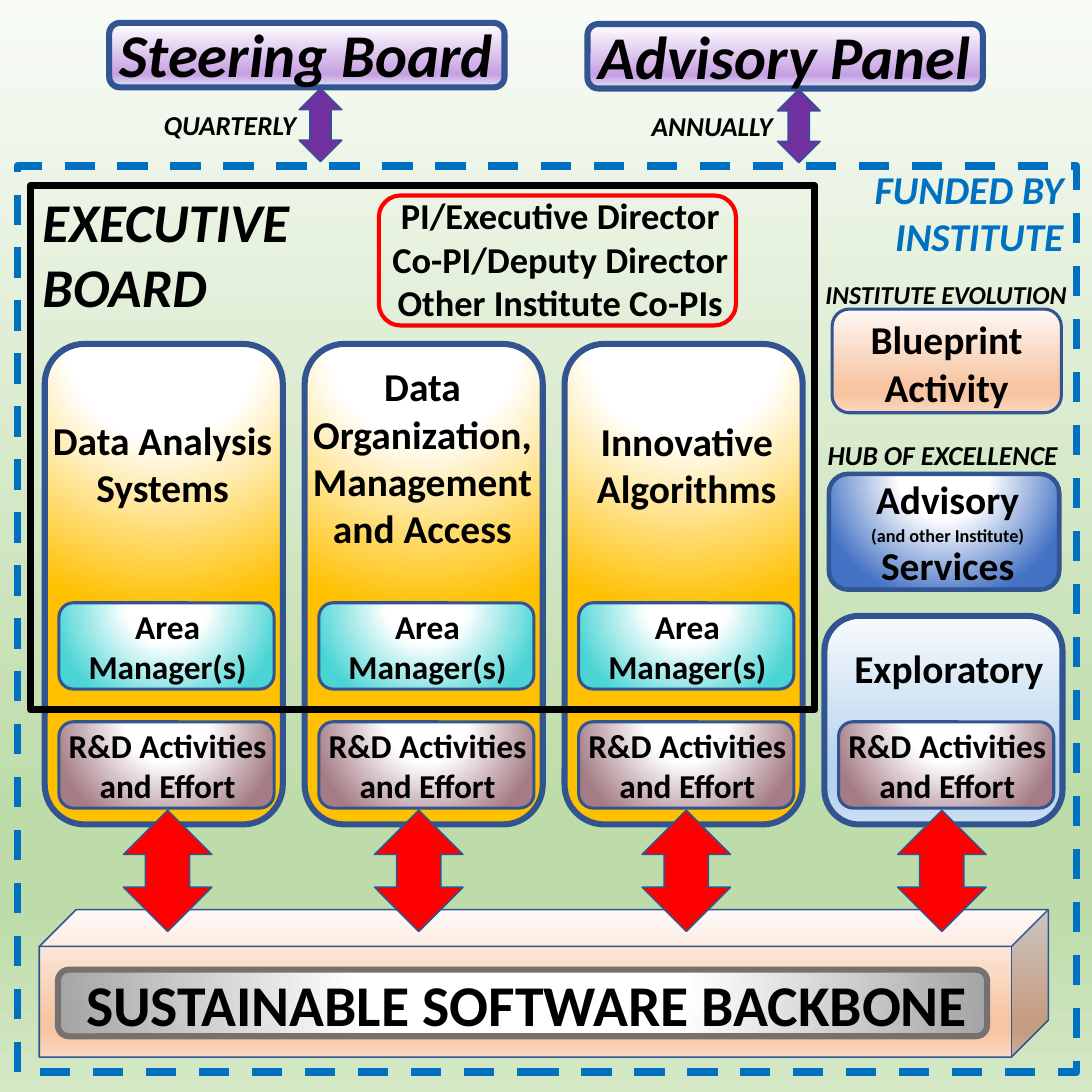
from lxml.etree import SubElement
from pptx import Presentation
from pptx.dml.color import RGBColor
from pptx.enum.dml import MSO_LINE
from pptx.enum.shapes import MSO_SHAPE as SHAPE
from pptx.enum.text import MSO_AUTO_SIZE as AUTO, PP_ALIGN as ALIGN
from pptx.oxml.ns import qn
from pptx.util import Inches, Pt

FONT = "Calibri"
NAVY, BLACK, BLUE, RED, PURPLE = "325491", "000000", "0070C0", "FF0000", "7030A0"
GREEN = [(0, "F8FBF6"), (74, "BEDCAA"), (83, "BEDCAA"), (100, "D4E8C6")]
PEACH = [(0, "FEF8F5"), (74, "F7C5A2"), (83, "F7C5A2"), (100, "FAD8C1")]
SKY = [(0, "F7FAFD"), (74, "B5D2EC"), (83, "B5D2EC"), (100, "CEE1F2")]
LILAC = [(0, "FFFFFF"), (80, "C6A0E2"), (100, "DFE7F5")]


def rgb(value):
    """Turn a hex string into a colour."""
    return RGBColor.from_string(value)


def glow(color):
    """Give the stops of a white glow that ends in a colour."""
    return [(0, "FFFFFF"), (35, "FFFFFF"), (100, color)]


def set_gradient(sp, stops, radial):
    """Fill a shape with a downward or radial gradient."""
    sp.fill.gradient()
    grad = sp._element.spPr.find(qn("a:gradFill"))
    for child in list(grad):
        grad.remove(child)
    gs_list = SubElement(grad, qn("a:gsLst"))
    for pos, color in stops:
        gs = SubElement(gs_list, qn("a:gs"), pos=str(pos * 1000))
        SubElement(gs, qn("a:srgbClr"), val=color)
    if radial:
        circle = SubElement(grad, qn("a:path"), path="circle")
        SubElement(circle, qn("a:fillToRect"), l="50000", t="-80000", r="50000", b="180000")
    else:
        SubElement(grad, qn("a:lin"), ang="5400000", scaled="0")


def add_box(slide, kind, box, fill=None, line=NAVY, width=1, radial=False):
    """Add a shape with no fill, a plain fill or a gradient."""
    sp = slide.shapes.add_shape(kind, *map(Inches, box))
    sp.shadow.inherit = False
    if fill is None:
        sp.fill.background()
    elif isinstance(fill, str):
        sp.fill.solid()
        sp.fill.fore_color.rgb = rgb(fill)
    else:
        set_gradient(sp, fill, radial)
    if line:
        sp.line.color.rgb = rgb(line)
        sp.line.width = Pt(width)
    else:
        sp.line.fill.background()
    return sp


def add_text(slide, box, lines, size, align=ALIGN.CENTER, italic=False, color=BLACK, wrap=True):
    """Add a bold text box with one paragraph for each line."""
    tf = slide.shapes.add_textbox(*map(Inches, box)).text_frame
    tf.word_wrap = wrap
    tf.auto_size = AUTO.SHAPE_TO_FIT_TEXT
    for i, line in enumerate(lines):
        p = tf.paragraphs[0] if i == 0 else tf.add_paragraph()
        p.alignment = align
        r = p.add_run()
        r.text = line
        r.font.name, r.font.size = FONT, Pt(size)
        r.font.bold, r.font.italic = True, italic
        r.font.color.rgb = rgb(color)


def add_caption(slide, box, lines, size):
    """Add an italic, unwrapped caption aligned left."""
    add_text(slide, box, lines, size, ALIGN.LEFT, italic=True, wrap=False)


def add_board(slide, box, name, period, period_dx):
    """Add an outside board with its meeting period and arrow."""
    x, y, w, h = box
    add_box(slide, SHAPE.ROUNDED_RECTANGLE, box, LILAC, width=4)
    add_text(slide, (x - 0.06, y - 0.1, w + 0.11, 0.77), [name], 40, italic=True)
    add_box(slide, SHAPE.UP_DOWN_ARROW, (x + 1.74, y + 0.6, 0.39, 0.67), PURPLE)
    add_caption(slide, (x + period_dx, y + 0.73, 1.43, 0.4), [period], 18)


def add_effort(slide, box, label, color):
    """Add a small glowing box with a two-line label."""
    x, y, w, h = box
    add_box(slide, SHAPE.ROUNDED_RECTANGLE, box, glow(color), width=2, radial=True)
    add_text(slide, (x - 0.02, y - 0.02, w + 0.06, 0.84), [label], 22)


def add_column(slide, box, name, name_dx, name_dy, managed):
    """Add an activity column with its effort boxes."""
    x, y, w, h = box
    fill = glow("FFC000") if managed else SKY
    add_box(slide, SHAPE.ROUNDED_RECTANGLE, box, fill, width=4, radial=managed)
    add_text(slide, (x + name_dx, y + name_dy, 2.34, 0.98), [name], 26)
    inner_x, bottom = x + 0.13, y + h
    if managed:
        add_effort(slide, (inner_x, bottom - 2.03, 1.97, 0.79), "Area Manager(s)", "4AD4D4")
    add_effort(slide, (inner_x, bottom - 0.94, 1.97, 0.79), "R&D Activities and Effort", "A57C85")


def add_executive(slide, box):
    """Add the executive board frame, its heading and its members."""
    x, y, w, h = box
    add_box(slide, SHAPE.RECTANGLE, box, line=BLACK, width=5)
    add_caption(slide, (x + 0.01, y - 0.03, 2.48, 1.31), ["EXECUTIVE", "BOARD"], 36)
    add_box(slide, SHAPE.ROUNDED_RECTANGLE, (x + 3.19, y + 0.09, 3.27, 1.19), line=RED, width=2.75)
    members = ["PI/Executive Director", "Co-PI/Deputy Director", "Other Institute Co-PIs"]
    add_text(slide, (x + 2.51, y + 0.02, 4.68, 1.31), members, 24)


def add_hub(slide, box):
    """Add the blueprint and services boxes of the right side."""
    x, y, w, h = box
    add_text(slide, (x + 0.35, y, 2.03, 0.98), ["FUNDED BY", "INSTITUTE"], 26,
             ALIGN.RIGHT, italic=True, color=BLUE)
    add_caption(slide, (x, y + 1.04, w, 0.39), ["INSTITUTE EVOLUTION"], 17)
    add_box(slide, SHAPE.ROUNDED_RECTANGLE, (x + 0.16, y + 1.37, 2.1, 0.95), PEACH, width=2)
    add_text(slide, (x + 0.15, y + 1.38, 2.12, 0.98), ["Blueprint Activity"], 26)
    add_caption(slide, (x + 0.02, y + 2.5, w, 0.4), ["HUB OF EXCELLENCE"], 18)
    add_box(slide, SHAPE.ROUNDED_RECTANGLE, (x + 0.13, y + 2.88, 2.11, 1.06),
            glow("4472C4"), width=3, radial=True)
    services = [("Advisory", 2.84, 26), ("(and other Institute)", 3.29, 12), ("Services", 3.45, 26)]
    for line, dy, size in services:
        add_text(slide, (x - 0.06, y + dy, 2.56, 0.54), [line], size)


def add_backbone(slide, box, arrow_lefts):
    """Add the software backbone and the arrows that reach it."""
    x, y, w, h = box
    add_box(slide, SHAPE.CUBE, box, PEACH)
    add_box(slide, SHAPE.ROUNDED_RECTANGLE, (x + 0.17, y + 0.55, 8.51, 0.61),
            glow("A5A5A5"), "767171", 4, radial=True)
    add_text(slide, (x + 0.33, y + 0.49, 8.35, 0.74), ["SUSTAINABLE SOFTWARE BACKBONE"], 38,
             ALIGN.LEFT, wrap=False)
    for left in arrow_lefts:
        add_box(slide, SHAPE.UP_DOWN_ARROW, (left, y - 0.91, 0.81, 1.11), RED)


def build_slide(prs):
    """Build the organisation chart slide."""
    slide = prs.slides.add_slide(prs.slide_layouts[6])
    add_box(slide, SHAPE.RECTANGLE, (0, 0, 10, 10), GREEN, line=None)
    frame = add_box(slide, SHAPE.RECTANGLE, (0.16, 1.52, 9.7, 8.3), line=BLUE, width=5)
    frame.line.dash_style = MSO_LINE.DASH
    add_board(slide, (1, 0.21, 3.62, 0.59), "Steering Board", "QUARTERLY", 0.4)
    add_board(slide, (5.38, 0.22, 3.62, 0.59), "Advisory Panel", "ANNUALLY", 0.49)
    columns = [
        ("Data Analysis Systems", -0.09, 0.61, 3.15, True),
        ("Data Organization, Management and Access", -0.09, 0.12, 3.15, True),
        ("Innovative Algorithms", -0.05, 0.62, 3.15, True),
        ("Exploratory", -0.03, 0.21, 5.64, False),
    ]
    for i, (name, dx, dy, top, managed) in enumerate(columns):
        box = (0.41 + 2.38 * i, top, 2.18, 7.55 - top)
        add_column(slide, box, name, dx, dy, managed)
    add_executive(slide, (0.28, 1.7, 7.18, 4.8))
    add_hub(slide, (7.46, 1.46, 2.43, 3.94))
    add_backbone(slide, (0.36, 8.33, 9.24, 1.35), (1.13, 3.43, 5.88, 8.22))


prs = Presentation()
prs.slide_width = prs.slide_height = Inches(10)
build_slide(prs)
prs.save("out.pptx")
